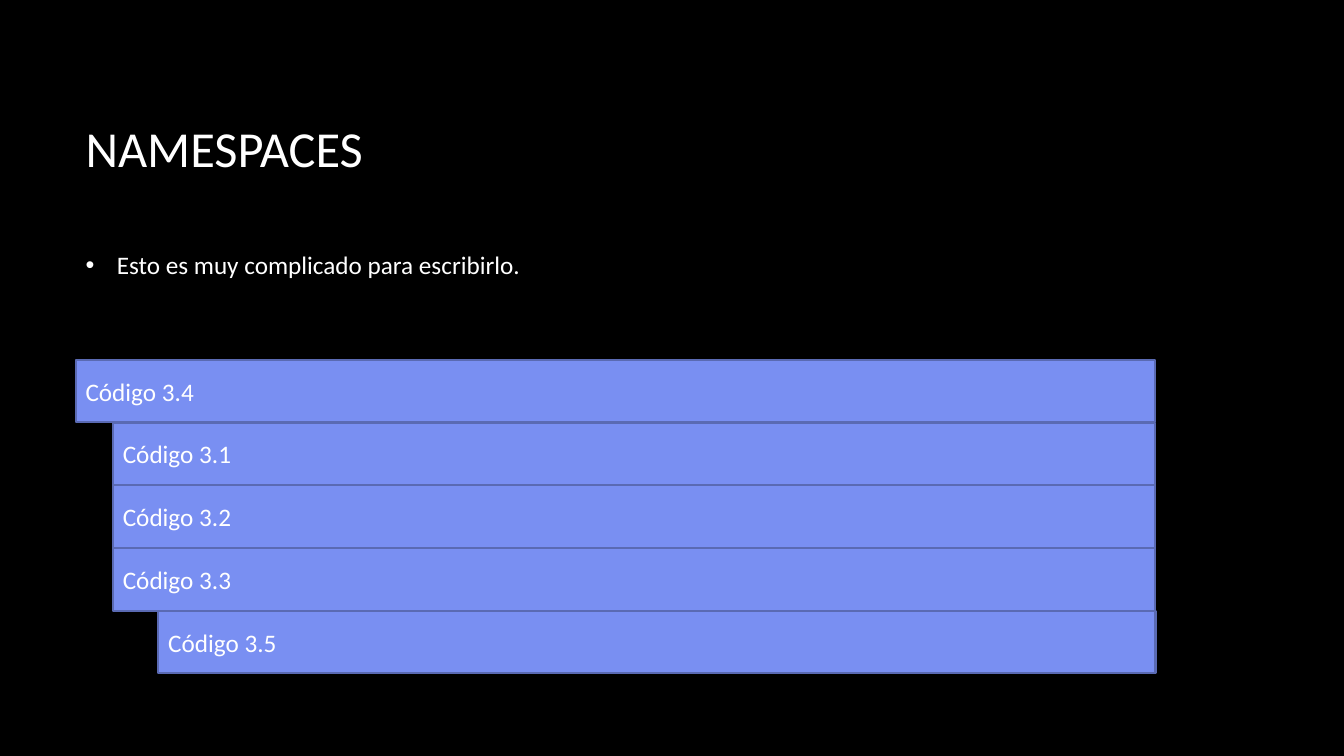
from lxml.etree import SubElement
from pptx import Presentation
from pptx.dml.color import RGBColor
from pptx.enum.shapes import MSO_SHAPE
from pptx.enum.text import MSO_ANCHOR, PP_ALIGN
from pptx.oxml.ns import qn
from pptx.util import Inches, Pt

TITLE = "NAMESPACES"
REMARK = "Esto es muy complicado para escribirlo."
CODE_BARS = [  # label, nesting level
    ("Código 3.4", 0),
    ("Código 3.1", 1),
    ("Código 3.2", 1),
    ("Código 3.3", 1),
    ("Código 3.5", 2),
]

BLACK, WHITE, BAR_FILL, BAR_LINE = "000000", "FFFFFF", "798FF2", "5A6AB3"
FONT = "Calibri"
LEFT, TEXT_WIDTH = 0.75, 11.08
LEVEL_LEFTS = [LEFT, 1.12, 1.57]
BARS_TOP, BARS_RIGHT = 3.57, 11.46
BAR_HEIGHT, BAR_PITCH = 0.62, 0.6225
BULLET_INDENT = 0.31


def color(hex_code):
    return RGBColor.from_string(hex_code)


def write(shape, text, size):
    """Put one left-aligned, vertically centred line in the shape."""
    frame = shape.text_frame
    frame.text = text
    frame.word_wrap = True
    frame.vertical_anchor = MSO_ANCHOR.MIDDLE
    line = frame.paragraphs[0]
    line.alignment = PP_ALIGN.LEFT
    font = line.runs[0].font
    font.name, font.size = FONT, Pt(size)
    font.color.rgb = color(WHITE)
    return line


def add_text(slide, top, height, text, size):
    box = slide.shapes.add_textbox(
        Inches(LEFT), Inches(top), Inches(TEXT_WIDTH), Inches(height))
    return write(box, text, size)


def add_bullet(paragraph):
    props = paragraph._p.get_or_add_pPr()
    props.set("marL", str(Inches(BULLET_INDENT)))
    props.set("indent", str(-Inches(BULLET_INDENT)))
    bullet_color = SubElement(props, qn("a:buClr"))
    SubElement(bullet_color, qn("a:srgbClr")).set("val", WHITE)
    SubElement(props, qn("a:buFont")).set("typeface", "Arial")
    SubElement(props, qn("a:buChar")).set("char", "•")


def add_bar(slide, row, label, level):
    left = LEVEL_LEFTS[level]
    bar = slide.shapes.add_shape(
        MSO_SHAPE.RECTANGLE, Inches(left), Inches(BARS_TOP + row * BAR_PITCH),
        Inches(BARS_RIGHT - left), Inches(BAR_HEIGHT))
    bar.shadow.inherit = False
    bar.fill.solid()
    bar.fill.fore_color.rgb = color(BAR_FILL)
    bar.line.color.rgb = color(BAR_LINE)
    bar.line.width = Pt(1.5)
    write(bar, label, 18)


def main():
    deck = Presentation()
    deck.slide_width, deck.slide_height = Inches(13.33), Inches(7.5)
    slide = deck.slides.add_slide(deck.slide_layouts[6])
    slide.background.fill.solid()
    slide.background.fill.fore_color.rgb = color(BLACK)

    add_text(slide, 0.67, 1.59, TITLE, 36)
    remark = add_text(slide, 2.34, 0.57, REMARK, 18)
    remark.space_after = Pt(10)
    add_bullet(remark)
    for row, (label, level) in enumerate(CODE_BARS):
        add_bar(slide, row, label, level)

    deck.save("out.pptx")


if __name__ == "__main__":
    main()
